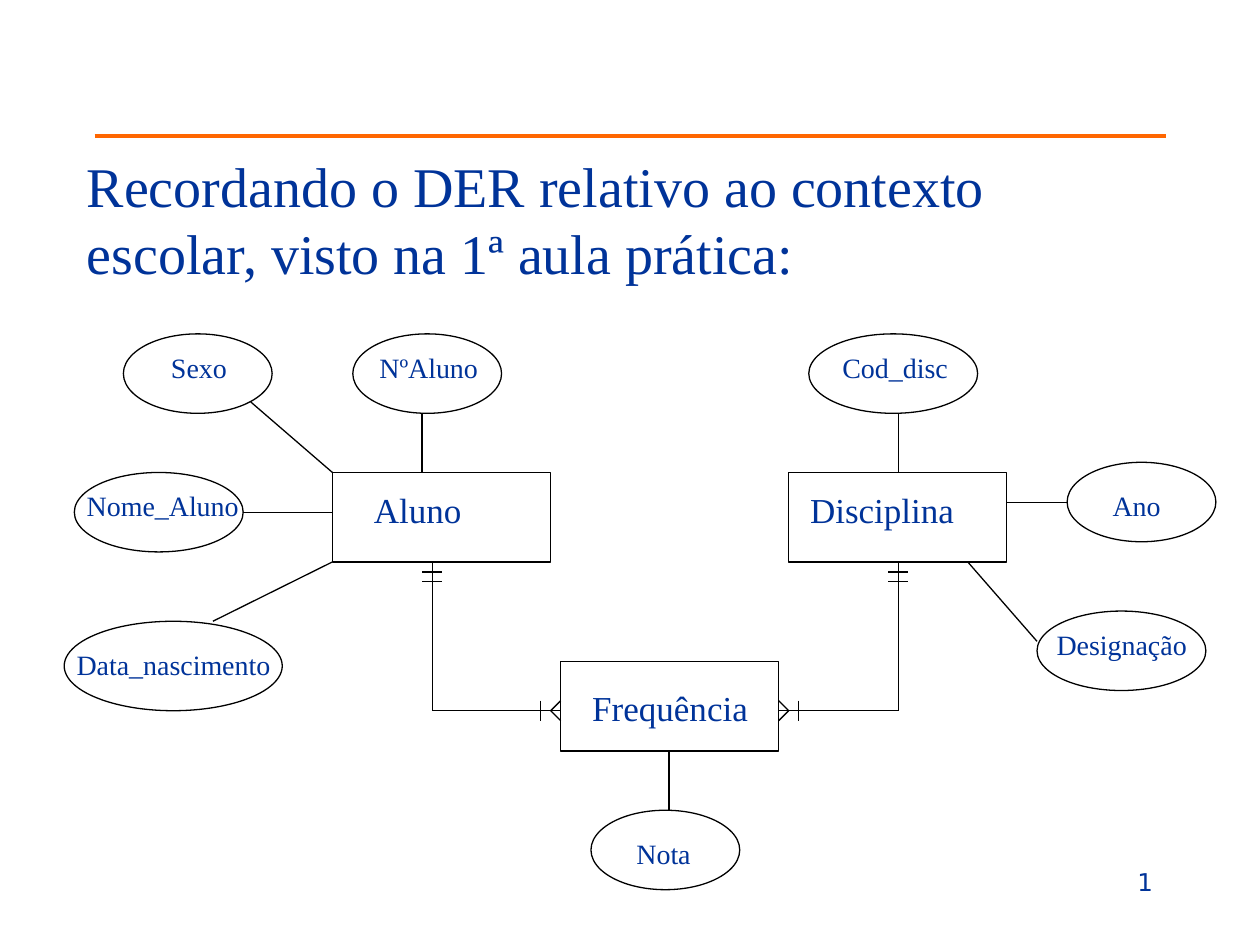
from dataclasses import dataclass

from lxml.etree import SubElement
from pptx import Presentation
from pptx.dml.color import RGBColor
from pptx.enum.shapes import MSO_CONNECTOR, MSO_SHAPE
from pptx.enum.text import MSO_ANCHOR, PP_ALIGN
from pptx.oxml.ns import qn
from pptx.util import Pt


@dataclass(frozen=True)
class Theme:
    ink: RGBColor = RGBColor(0x00, 0x33, 0x99)
    outline: RGBColor = RGBColor(0, 0, 0)
    paper: RGBColor = RGBColor(0xFF, 0xFF, 0xFF)
    accent: RGBColor = RGBColor(0xFF, 0x66, 0x00)
    serif: str = "Times New Roman"
    sans: str = "DejaVu Sans"
    title: int = 32
    entity: int = 20
    attribute: int = 16
    number: int = 14
    thin: float = 0.75
    thick: float = 2


@dataclass(frozen=True)
class Attribute:
    name: str
    oval: tuple
    label: tuple
    link: tuple
    indent: float = 0


THEME = Theme()
ENTITY_W, ENTITY_H = 124.6, 51.1
SMALL, MEDIUM = (85, 45.4), (96.5, 45.4)
TICK = 5.7


def apply_format(target, values):
    for name, value in values.items():
        setattr(target, name, value)


def add_text(slide, box, text, size, font=THEME.serif, indent=0, align=PP_ALIGN.LEFT):
    frame = slide.shapes.add_textbox(*map(Pt, box)).text_frame
    apply_format(frame, {
        "word_wrap": True,
        "vertical_anchor": MSO_ANCHOR.TOP,
        "margin_left": Pt(7.2 + indent),
        "margin_right": Pt(7.2 if align == PP_ALIGN.RIGHT else 0),
        "margin_top": Pt(3.6),
        "margin_bottom": Pt(3.6),
    })
    paragraph = frame.paragraphs[0]
    paragraph.alignment = align
    run = paragraph.add_run()
    run.text = text
    apply_format(run.font, {"name": font, "size": Pt(size)})
    run.font.color.rgb = THEME.ink


def add_line(slide, start, end, color=THEME.outline, width=THEME.thin):
    line = slide.shapes.add_connector(MSO_CONNECTOR.STRAIGHT, *map(Pt, (*start, *end)))
    line.line.color.rgb = color
    line.line.width = Pt(width)
    SubElement(line._element.spPr, qn("a:effectLst"))


def add_outline(slide, kind, box):
    outline = slide.shapes.add_shape(kind, *map(Pt, box))
    outline.shadow.inherit = False
    outline.fill.solid()
    outline.fill.fore_color.rgb = THEME.paper
    outline.line.color.rgb = THEME.outline
    outline.line.width = Pt(THEME.thin)


def add_header(slide, box):
    left, top, width, height = box
    add_line(slide, (left, top), (left + width, top), THEME.accent, THEME.thick)
    add_text(slide, (left - 11.5, top + 5, 578, height),
             "Recordando o DER relativo ao contexto escolar, visto na 1ª aula prática:",
             THEME.title)


def add_entity(slide, box, name, label, indent, attributes):
    left, top, width, height = box
    add_outline(slide, MSO_SHAPE.RECTANGLE, box)
    dx, dy = label
    add_text(slide, (left + dx, top + dy, width - dx, 31.7), name, THEME.entity, indent=indent)
    for attribute in attributes:
        dx, dy, oval_w, oval_h = attribute.oval
        x, y = left + dx, top + dy
        add_outline(slide, MSO_SHAPE.OVAL, (x, y, oval_w, oval_h))
        label_dx, label_dy, label_w = attribute.label
        add_text(slide, (x + label_dx, y + label_dy, label_w, 26.6),
                 attribute.name, THEME.attribute, indent=attribute.indent)
        add_line(slide, *((left + px, top + py) for px, py in attribute.link))


def add_relation(slide, trunk, top, edge, bottom):
    side = 1 if trunk > edge else -1
    add_line(slide, (trunk, top), (trunk, bottom))
    add_line(slide, (trunk, bottom), (edge, bottom))
    for step in (1, 2):
        y = top + step * TICK
        add_line(slide, (trunk - TICK, y), (trunk + TICK, y))
    tip = edge + side * TICK
    for toe in (-TICK, TICK):
        add_line(slide, (tip, bottom), (edge, bottom + toe))
    bar = tip + side * TICK
    add_line(slide, (bar, bottom - TICK), (bar, bottom + TICK))


def add_page_number(slide, box):
    add_text(slide, box, "1", THEME.number, THEME.sans, align=PP_ALIGN.RIGHT)


STUDENT = (
    Attribute("Sexo", (-119.5, -79.2, *SMALL), (0, 5.8, 79), ((-46.7, -40.3), (0, 0)), 20),
    Attribute("NºAluno", (11.6, -79.2, *SMALL), (0, 5.8, 79), ((51.2, -33.8), (51.2, 0)), 8),
    Attribute("Nome_Aluno", (-147.5, 0, *MEDIUM), (0, 5.8, 102), ((-51, 23), (0, 23))),
    Attribute("Data_nascimento", (-153.3, 85, ENTITY_W, ENTITY_H), (0, 11.5, 136),
              ((-68.3, 85), (0, ENTITY_H))),
)
SUBJECT = (
    Attribute("Cod_disc", (11.5, -79.2, *MEDIUM), (0, 5.8, 102), ((62.7, -33.8), (62.7, 0)), 12),
    Attribute("Designação", (141.9, 79.2, *MEDIUM), (0, 5.8, 102),
              ((102.3, ENTITY_H), (141.9, 96.5)), 4),
    Attribute("Ano", (159.1, -5.8, *SMALL), (10.8, 11.5, 62.6),
              ((159.1, 17.3), (ENTITY_W, 17.3)), 8),
)
ATTENDANCE = (
    Attribute("Nota", (17.3, 85, *SMALL), (10.8, 11.5, 62.6),
              ((61.9, ENTITY_H), (61.9, 85)), 8),
)


def main():
    presentation = Presentation()
    apply_format(presentation, {"slide_width": Pt(720), "slide_height": Pt(540)})
    slide = presentation.slides.add_slide(presentation.slide_layouts[6])
    add_header(slide, (54, 77.8, 612, 84.2))
    entities = (
        ((190, 270), "Aluno", (16.6, 5.8), 0, STUDENT),
        ((450.7, 270), "Disciplina", (0, 5.8), 5, SUBJECT),
        ((320.4, 378), "Frequência", (5.8, 10.8), 5, ATTENDANCE),
    )
    for corner, *details in entities:
        add_entity(slide, (*corner, ENTITY_W, ENTITY_H), *details)
    for trunk, edge in ((247, 320.4), (513.4, 320.4 + ENTITY_W)):
        add_relation(slide, trunk, 270 + ENTITY_H, edge, 406.1)
    add_page_number(slide, (516, 492, 150, 36))
    presentation.save("out.pptx")


if __name__ == "__main__":
    main()
